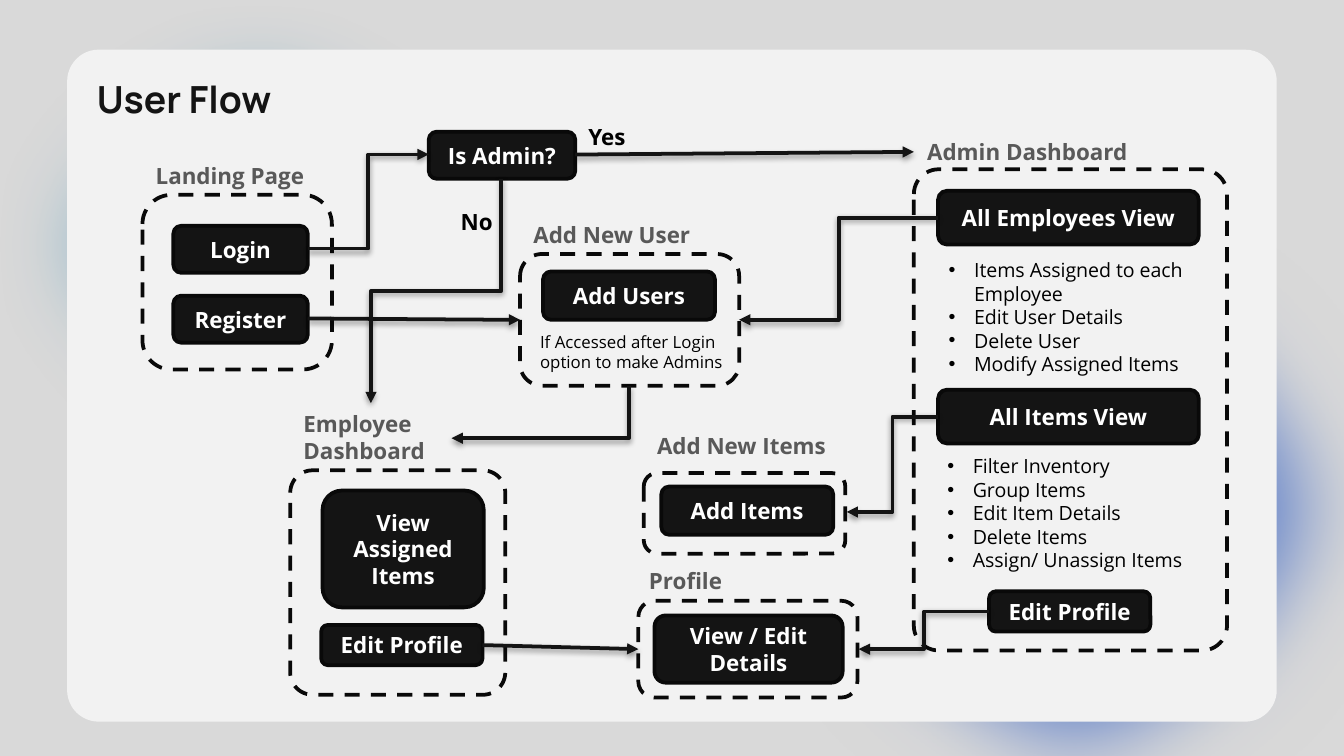
from lxml.etree import SubElement
from pptx import Presentation
from pptx.dml.color import RGBColor
from pptx.enum.dml import MSO_LINE
from pptx.enum.shapes import MSO_CONNECTOR, MSO_SHAPE
from pptx.enum.text import MSO_ANCHOR, MSO_AUTO_SIZE, PP_ALIGN
from pptx.oxml.ns import qn
from pptx.util import Inches, Pt

SLIDE_WIDTH = 10
SLIDE_HEIGHT = SLIDE_WIDTH * 9 / 16
COLORS = {
    "backdrop": "D9D9D9", "teal": "4796BD", "blue": "2757C3", "card": "F2F2F2",
    "ink": "141414", "outline": "090909", "heading": "595959",
    "white": "FFFFFF", "black": "000000",
}


def color(name):
    return RGBColor.from_string(COLORS[name])


def add_child(parent, tag, **attributes):
    return SubElement(parent, qn(tag), {key: str(value) for key, value in attributes.items()})


def style_font(paragraph, size, shade, bold=False, face="Open Sans"):
    font = paragraph.font
    font.name, font.size, font.bold = face, Pt(size), bold
    font.color.rgb = color(shade)


def add_box(slide, preset, left, top, width, height, fill=None, outline=None, corner=None):
    box = slide.shapes.add_shape(preset, Inches(left), Inches(top), Inches(width), Inches(height))
    box.shadow.inherit = False
    if corner is not None:
        box.adjustments[0] = corner
    if fill:
        box.fill.solid()
        box.fill.fore_color.rgb = color(fill)
    else:
        box.fill.background()
    if outline:
        box.line.color.rgb = color(outline)
        box.line.width = Pt(2)
    else:
        box.line.fill.background()
    return box


def add_text(slide, left, top, width, height, lines, size=12, shade="black",
             bold=False, bulleted=False, face="Open Sans"):
    label = slide.shapes.add_textbox(Inches(left), Inches(top), Inches(width), Inches(height))
    frame = label.text_frame
    frame.word_wrap = True
    frame.auto_size = MSO_AUTO_SIZE.SHAPE_TO_FIT_TEXT
    frame.text = "\n".join(lines)
    for paragraph in frame.paragraphs:
        if bulleted:
            properties = paragraph._p.get_or_add_pPr()
            properties.set("marL", str(Inches(0.19)))
            properties.set("indent", str(-Inches(0.19)))
            bullet_color = add_child(properties, "a:buClr")
            add_child(bullet_color, "a:srgbClr", val=COLORS["black"])
            add_child(properties, "a:buFont", typeface="Arial")
            add_child(properties, "a:buChar", char="•")
        style_font(paragraph, size, shade, bold, face)
    return label


def add_button(slide, left, top, width, height, caption):
    button = add_box(slide, MSO_SHAPE.ROUNDED_RECTANGLE, left, top, width, height, "ink", "outline")
    frame = button.text_frame
    frame.word_wrap = True
    frame.vertical_anchor = MSO_ANCHOR.MIDDLE
    frame.text = caption
    frame.paragraphs[0].alignment = PP_ALIGN.CENTER
    style_font(frame.paragraphs[0], 12, "white", True)


def add_group(slide, left, top, width, height, heading, rise, shift=0,
              heading_width=1.49, heading_height=0.3, corner=None):
    frame = add_box(slide, MSO_SHAPE.ROUNDED_RECTANGLE, left, top, width, height,
                    outline="outline", corner=corner)
    frame.line.dash_style = MSO_LINE.DASH
    add_text(slide, left + shift, top - rise, heading_width, heading_height, [heading],
             shade="heading", bold=True)


def add_arrow(slide, start, end, kind=MSO_CONNECTOR.STRAIGHT, downward=False, preset=None):
    (x1, y1), (x2, y2) = start, end
    if downward:
        middle_x, middle_y = (x1 + x2) / 2, (y1 + y2) / 2
        half_run, half_drop = (x1 - x2) / 2, (y2 - y1) / 2
        x1, x2 = middle_x - half_drop, middle_x + half_drop
        y1, y2 = middle_y - half_run, middle_y + half_run
    arrow = slide.shapes.add_connector(kind, Inches(x1), Inches(y1), Inches(x2), Inches(y2))
    arrow.line.color.rgb = color("ink")
    arrow.line.width = Pt(2)
    properties = arrow._element.spPr
    if downward:
        properties.find(qn("a:xfrm")).set("rot", "5400000")
    if preset:
        properties.find(qn("a:prstGeom")).set("prst", preset)
    add_child(properties.find(qn("a:ln")), "a:tailEnd", type="triangle")
    effects = add_child(properties, "a:effectLst")
    shadow = add_child(effects, "a:outerShdw", blurRad=Pt(3.1), dist=Pt(1.6),
                       dir=5400000, algn="t", rotWithShape=0)
    shade = add_child(shadow, "a:srgbClr", val=COLORS["black"])
    add_child(shade, "a:alpha", val=38000)


def draw_backdrop(slide, left, top, width, height):
    slide.background.fill.solid()
    slide.background.fill.fore_color.rgb = color("backdrop")
    glows = [(-0.23, -0.14, 4.3, 3.92, "teal", "outline"), (5.5, 1.29, 5, 5, "blue", None)]
    for x, y, glow_width, glow_height, shade, outline in glows:
        glow = add_box(slide, MSO_SHAPE.OVAL, left + x, top + y, glow_width, glow_height,
                       shade, outline)
        add_child(glow._element.spPr.find(qn("a:effectLst")), "a:softEdge", rad=Pt(50))
    veil = add_box(slide, MSO_SHAPE.ROUNDED_RECTANGLE, left, top, width, height,
                   "backdrop", corner=0)
    add_child(veil._element.spPr.find(".//" + qn("a:srgbClr")), "a:alpha", val=30000)


def draw_card(slide, left, top, width, height):
    add_box(slide, MSO_SHAPE.ROUNDED_RECTANGLE, left, top, width, height, "card", corner=0.047)
    title = add_text(slide, left + 0.22, top + 0.2, 1.41, 0.35, ["User Flow"],
                     20, "ink", True, face="Manrope")
    frame = title.text_frame
    frame.margin_left = frame.margin_top = frame.margin_right = frame.margin_bottom = 0
    frame.word_wrap = False
    frame.auto_size = MSO_AUTO_SIZE.NONE


def draw_landing_page(slide, left, top, width, height):
    add_group(slide, left, top, width, height, "Landing Page", 0.29)
    for row, caption in enumerate(["Login", "Register"]):
        add_button(slide, left + 0.23, top + 0.23 + row * 0.52, 1, 0.35, caption)


def draw_admin_check(slide, left, top, width, height):
    add_button(slide, left, top, width, height, "Is Admin?")
    add_text(slide, left + width, top - 0.11, 0.53, 0.3, ["Yes"], bold=True)
    add_text(slide, left + 0.14, top + 0.52, 0.5, 0.3, ["No"], bold=True)


def draw_new_user(slide, left, top, width, height):
    add_group(slide, left, top, width, height, "Add New User", 0.29)
    add_button(slide, left + 0.17, top + 0.13, 1.28, 0.36, "Add Users")
    add_text(slide, left + 0.05, top + 0.53, 1.58, 0.4,
             ["If Accessed after Login option to make Admins"], 9)


def draw_employee_dashboard(slide, left, top, width, height):
    add_group(slide, left, top, width, height, "Employee Dashboard", 0.5,
              heading_width=1.2, heading_height=0.5, corner=0.104)
    add_button(slide, left + 0.24, top + 0.15, 1.2, 0.87, "View Assigned Items")
    add_button(slide, left + 0.23, top + 1.15, 1.2, 0.3, "Edit Profile")


def draw_new_items(slide, left, top, width, height):
    add_group(slide, left, top, width, height, "Add New Items", 0.35)
    add_button(slide, left + 0.13, top + 0.1, 1.28, 0.36, "Add Items")


def draw_profile(slide, left, top, width, height):
    add_group(slide, left, top, width, height, "Profile", 0.3, shift=-0.02)
    add_button(slide, left + 0.12, top + 0.11, 1.4, 0.5, "View / Edit Details")


def draw_admin_dashboard(slide, left, top, width, height):
    add_group(slide, left, top, width, height, "Admin Dashboard", 0.28,
              heading_width=2.15, corner=0.079)
    views = [
        (0.16, 0.16, 0.61, "All Employees View",
         ["Items Assigned to each Employee", "Edit User Details",
          "Delete User", "Modify Assigned Items"]),
        (1.64, 0.15, 2.07, "All Items View",
         ["Filter Inventory", "Group Items", "Edit Item Details",
          "Delete Items", "Assign/ Unassign Items"]),
    ]
    for button_drop, indent, list_drop, caption, actions in views:
        add_button(slide, left + 0.18, top + button_drop, 1.94, 0.4, caption)
        add_text(slide, left + indent, top + list_drop, 1.96, 0.98, actions, 10.5, bulleted=True)
    add_button(slide, left + 0.56, top + 3.14, 1.2, 0.3, "Edit Profile")


def draw_flows(slide):
    straight = [((4.28, 1.15), (6.8, 1.13)), ((2.29, 2.37), (3.87, 2.38)),
                ((3.59, 4.8), (4.75, 4.83))]
    stepped = [((2.29, 1.85), (3.19, 1.15)), ((6.98, 1.62), (5.5, 2.38)),
               ((6.98, 3.1), (6.3, 3.81)), ((7.36, 4.55), (6.39, 4.83))]
    for start, end in straight:
        add_arrow(slide, start, end)
    for start, end in stepped:
        add_arrow(slide, start, end, MSO_CONNECTOR.ELBOW)
    add_arrow(slide, (3.73, 1.33), (2.76, 3), MSO_CONNECTOR.ELBOW, downward=True)
    add_arrow(slide, (4.68, 2.87), (3.36, 3.26), MSO_CONNECTOR.ELBOW, downward=True,
              preset="bentConnector2")


def main():
    presentation = Presentation()
    presentation.slide_width = Inches(SLIDE_WIDTH)
    presentation.slide_height = Inches(SLIDE_HEIGHT)
    slide = presentation.slides.add_slide(presentation.slide_layouts[6])
    draw_backdrop(slide, 0, 0, SLIDE_WIDTH, SLIDE_HEIGHT)
    draw_card(slide, 0.5, 0.37, 9, 5)
    draw_landing_page(slide, 1.06, 1.45, 1.41, 1.3)
    draw_admin_check(slide, 3.19, 0.98, 1.09, 0.35)
    draw_new_user(slide, 3.87, 1.89, 1.63, 0.98)
    draw_employee_dashboard(slide, 2.16, 3.5, 1.6, 1.67)
    draw_new_items(slide, 4.79, 3.52, 1.5, 0.6)
    draw_profile(slide, 4.75, 4.47, 1.63, 0.72)
    draw_admin_dashboard(slide, 6.8, 1.26, 2.33, 3.58)
    draw_flows(slide)
    presentation.save("out.pptx")


if __name__ == "__main__":
    main()
